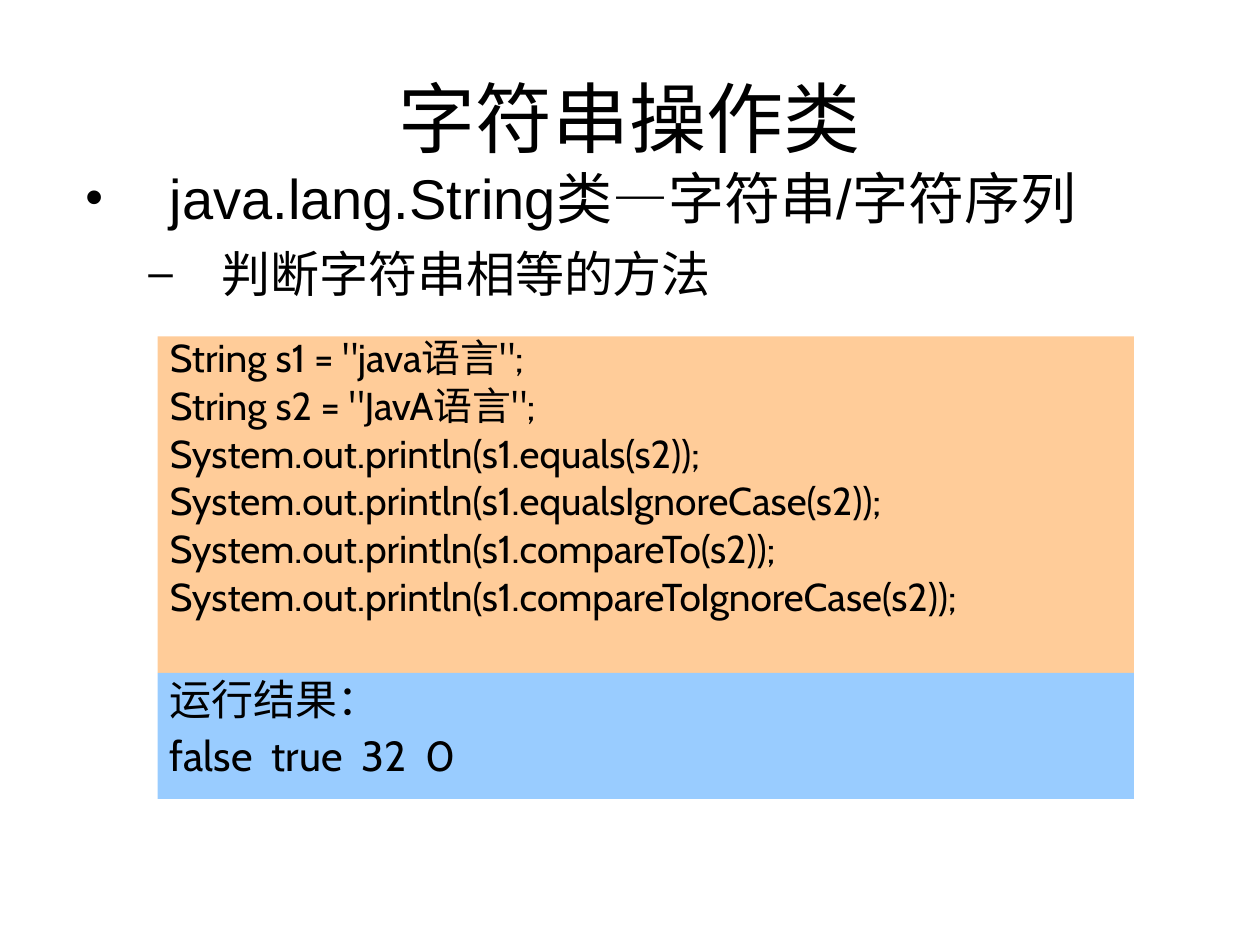
from pptx import Presentation
from pptx.dml.color import RGBColor
from pptx.enum.shapes import MSO_SHAPE
from pptx.enum.text import MSO_ANCHOR, PP_ALIGN
from pptx.oxml.xmlchemy import OxmlElement
from pptx.util import Inches, Pt

COLORS = {"text": "000000", "code": "FFCC99", "output": "99CCFF"}
TITLE = {"font": {"name": "Arial", "size": Pt(44)},
         "paragraph": {"alignment": PP_ALIGN.CENTER}}
TOPIC = {"font": {"name": "Arial", "size": Pt(32)}, "paragraph": {},
         "indent": (0.67, -0.67), "bullet": "•"}
SUBTOPIC = {"font": {"name": "Noto Sans Mono", "size": Pt(28)},
            "paragraph": {"level": 1, "space_before": Pt(7)},
            "indent": (1.08, -0.58), "bullet": "–"}
CODE = {"font": {"name": "Cabin", "size": Pt(22.2)},
        "paragraph": {"alignment": PP_ALIGN.LEFT, "line_spacing": 0.8, "space_before": Pt(6)},
        "indent": (0.38, -0.38)}
OUTPUT = {"font": {"name": "Cabin", "size": Pt(24)},
          "paragraph": {"alignment": PP_ALIGN.LEFT, "line_spacing": 0.9, "space_before": Pt(6)},
          "indent": (0.38, -0.38)}

CODE_LINES = [
    'String s1 = "java语言";',
    'String s2 = "JavA语言";',
    "System.out.println(s1.equals(s2));",
    "System.out.println(s1.equalsIgnoreCase(s2));",
    "System.out.println(s1.compareTo(s2));",
    "System.out.println(s1.compareToIgnoreCase(s2));",
]
OUTPUT_LINES = ["运行结果：", "false  true  32  0"]


def set_attributes(target, values):
    """Set every named attribute of the target."""
    for name, value in values.items():
        setattr(target, name, value)


def add_bullet(properties, character):
    """Give paragraph properties a bullet of 90 percent size."""
    for tag, name, value in (("a:buSzPct", "val", "90000"),
                             ("a:buFont", "typeface", "Arial"),
                             ("a:buChar", "char", character)):
        element = OxmlElement(tag)
        element.set(name, value)
        properties.append(element)


def write_lines(frame, lines):
    """Fill a text frame with pairs of wording and style."""
    frame.word_wrap = True
    for index, (wording, style) in enumerate(lines):
        paragraph = frame.add_paragraph() if index else frame.paragraphs[0]
        properties = paragraph._p.get_or_add_pPr()
        if "indent" in style:
            margin, hanging = style["indent"]
            properties.set("marL", str(Inches(margin)))
            properties.set("indent", str(Inches(hanging)))
        if "bullet" in style:
            add_bullet(properties, style["bullet"])
        set_attributes(paragraph, style["paragraph"])
        if index == 0:
            paragraph.space_before = Pt(0)
        run = paragraph.add_run()
        run.text = wording
        set_attributes(run.font, style["font"])
        run.font.color.rgb = RGBColor.from_string(COLORS["text"])


def add_heading(slide, left, top, width, height):
    """Place the centred slide title in its box."""
    heading = slide.shapes.add_textbox(left, top, width, height)
    heading.text_frame.vertical_anchor = MSO_ANCHOR.MIDDLE
    write_lines(heading.text_frame, [("字符串操作类", TITLE)])


def add_topics(slide, left, top, width, height):
    """Place the bulleted topic and its subtopic."""
    topics = slide.shapes.add_textbox(left, top, width, height)
    write_lines(topics.text_frame, [("java.lang.String类—字符串/字符序列", TOPIC),
                                    ("判断字符串相等的方法", SUBTOPIC)])


def add_panel(slide, left, top, width, height, color, lines, style):
    """Place a filled panel with lines of one style."""
    panel = slide.shapes.add_shape(MSO_SHAPE.RECTANGLE, left, top, width, height)
    panel.shadow.inherit = False
    panel.fill.solid()
    panel.fill.fore_color.rgb = RGBColor.from_string(COLORS[color])
    panel.line.fill.background()
    panel.text_frame.vertical_anchor = MSO_ANCHOR.TOP
    write_lines(panel.text_frame, [(line, style) for line in lines])


def add_example(slide, left, top, width, code_height, output_height):
    """Stack the code panel on the panel with its output."""
    add_panel(slide, left, top, width, code_height, "code", CODE_LINES, CODE)
    add_panel(slide, left, top + code_height, width, output_height,
              "output", OUTPUT_LINES, OUTPUT)


def main():
    """Build and save the slide."""
    presentation = Presentation()
    set_attributes(presentation, {"slide_width": Inches(10), "slide_height": Inches(7.5)})
    slide = presentation.slides.add_slide(presentation.slide_layouts[6])
    add_heading(slide, Inches(0.5), Inches(0.3), Inches(9), Inches(1.25))
    add_topics(slide, Inches(0.58), Inches(1.25), Inches(8.92), Inches(1.33))
    add_example(slide, Inches(1.25), Inches(2.67), Inches(7.75), Inches(2.67), Inches(1))
    presentation.save("out.pptx")


if __name__ == "__main__":
    main()
